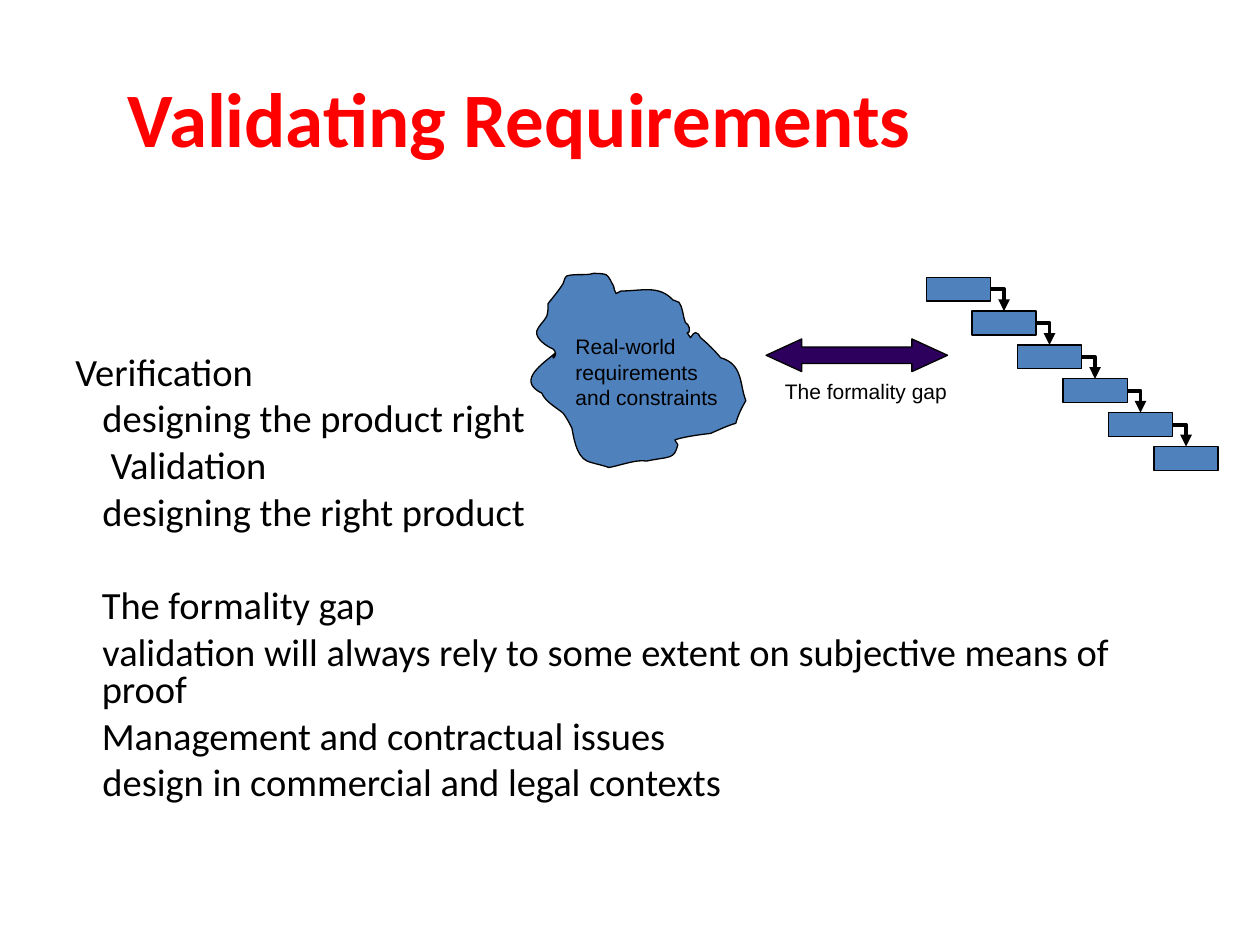
from dataclasses import dataclass

import pptx
import pptx.dml.color
import pptx.enum.shapes
import pptx.enum.text
import pptx.oxml.ns
import pptx.util
from lxml import etree

Pt = pptx.util.Pt
RGBColor = pptx.dml.color.RGBColor
ShapeKind = pptx.enum.shapes.MSO_SHAPE
Align = pptx.enum.text.PP_ALIGN
Anchor = pptx.enum.text.MSO_ANCHOR
qn = pptx.oxml.ns.qn

BLACK = RGBColor(0x00, 0x00, 0x00)
RED = RGBColor(0xFF, 0x00, 0x00)
BLUE = RGBColor(0x4F, 0x81, 0xBD)
PURPLE = RGBColor(0x2E, 0x00, 0x5D)

BODY_MARGIN = 15.1
SUB_INDENT = 0.4

STEP_COUNT = 6
STEP_LEFT, STEP_TOP = 529.4, 158.4
STEP_WIDTH, STEP_HEIGHT = 36.7, 13.7
STEP_ACROSS, STEP_DOWN = 26, 19.35

# Cloud outline as Bezier curves: two control points and an end, in units of 0.72 pt.
CLOUD_UNIT = 0.72
CLOUD_START = (441, 280)
CLOUD_CURVES = [
    (432, 288, 409, 302, 430, 312), (433, 319, 441, 323, 447, 328),
    (450, 332, 452, 336, 454, 340), (455, 345, 457, 362, 466, 366),
    (471, 368, 478, 369, 483, 371), (487, 371, 506, 364, 513, 366),
    (532, 362, 535, 365, 538, 353), (537, 351, 535, 349, 536, 349),
    (545, 346, 564, 344, 564, 344), (571, 341, 577, 338, 584, 336),
    (586, 329, 588, 325, 592, 318), (587, 306, 590, 289, 572, 284),
    (567, 278, 562, 273, 556, 268), (555, 266, 554, 264, 552, 264),
    (550, 264, 550, 266, 548, 268), (542, 259, 548, 269, 547, 260),
    (547, 258, 545, 257, 544, 256), (542, 251, 542, 244, 539, 240),
    (538, 239, 535, 239, 534, 238), (523, 226, 509, 231, 493, 231),
    (491, 232, 489, 233, 489, 233), (487, 231, 488, 229, 487, 227),
    (485, 224, 484, 220, 481, 218), (478, 217, 474, 217, 471, 217),
    (465, 219, 457, 217, 450, 219), (448, 220, 448, 223, 447, 225),
    (444, 230, 439, 236, 435, 241), (435, 245, 435, 248, 434, 251),
    (432, 255, 427, 259, 426, 263), (425, 269, 434, 275, 439, 277),
    (440, 278, 441, 279, 441, 281), (441, 282, 439, 285, 439, 284),
    (439, 282, 440, 281, 441, 280),
]


@dataclass(frozen=True)
class BodyLine:
    text: str
    indent: float = 0
    space_before: float = 5.5


BODY_LINES = [
    BodyLine("Verification", indent=-BODY_MARGIN),
    BodyLine("designing the product right", indent=SUB_INDENT),
    BodyLine("Validation", indent=5),
    BodyLine("designing the right product", indent=SUB_INDENT),
    BodyLine("The formality gap", space_before=32.5),
    BodyLine("validation will always rely to some extent on subjective means of proof",
             indent=SUB_INDENT),
    BodyLine("Management and contractual issues"),
    BodyLine("design in commercial and legal contexts", indent=SUB_INDENT),
]


def add_text_box(slide, left: float, top: float, width: float, height: float,
                 wrap: bool = True, anchor=Anchor.TOP, inset_top: float = 3.6):
    frame = slide.shapes.add_textbox(Pt(left), Pt(top), Pt(width), Pt(height)).text_frame
    frame.word_wrap = wrap
    frame.vertical_anchor = anchor
    frame.margin_top = Pt(inset_top)
    return frame


def write_text(paragraph, text: str, *, size: float, font: str = "Calibri",
               color: RGBColor = BLACK, bold: bool = False, align=Align.LEFT,
               line_spacing=None, space_before: float = 0,
               margin: float = 0, indent: float = 0) -> None:
    paragraph.text = text
    paragraph.alignment = align
    paragraph.line_spacing = line_spacing
    paragraph.space_before = Pt(space_before)
    properties = paragraph._p.get_or_add_pPr()
    properties.set("marL", str(Pt(margin)))
    properties.set("indent", str(Pt(indent)))
    for run in paragraph.runs:
        run.font.size = Pt(size)
        run.font.name = font
        run.font.bold = bold
        run.font.color.rgb = color


def style_shape(shape, fill: RGBColor) -> None:
    shape.shadow.inherit = False
    shape.fill.solid()
    shape.fill.fore_color.rgb = fill
    shape.line.color.rgb = BLACK
    shape.line.width = Pt(0.75)


def add_filled_shape(slide, kind, left: float, top: float, width: float, height: float,
                     fill: RGBColor):
    shape = slide.shapes.add_shape(kind, Pt(left), Pt(top), Pt(width), Pt(height))
    style_shape(shape, fill)
    return shape


def add_step_arrow(slide, upper, lower) -> None:
    """Lead from the right side of one step down to the top of the next."""
    connector = slide.shapes.add_connector(
        pptx.enum.shapes.MSO_CONNECTOR.ELBOW, 0, 0, 0, 0)
    connector.begin_connect(upper, 3)
    connector.end_connect(lower, 0)
    connector.line.color.rgb = BLACK
    connector.line.width = Pt(2.25)
    properties = connector._element.spPr
    properties.find(qn("a:prstGeom")).set("prst", "bentConnector2")
    etree.SubElement(connector.line._get_or_add_ln(), qn("a:tailEnd"), type="triangle")
    etree.SubElement(properties, qn("a:effectLst"))


def add_waterfall(slide) -> None:
    steps = [
        add_filled_shape(slide, ShapeKind.RECTANGLE,
                         STEP_LEFT + index * STEP_ACROSS, STEP_TOP + index * STEP_DOWN,
                         STEP_WIDTH, STEP_HEIGHT, BLUE)
        for index in range(STEP_COUNT)
    ]
    for upper, lower in zip(steps, steps[1:]):
        add_step_arrow(slide, upper, lower)


def bend_lines(shape) -> None:
    """Turn every three line segments of a freeform into one Bezier curve."""
    lines = list(shape._element.iter(qn("a:lnTo")))
    for first in range(0, len(lines), 3):
        curve = etree.Element(qn("a:cubicBezTo"))
        lines[first].addprevious(curve)
        for line in lines[first:first + 3]:
            curve.append(line[0])
            line.getparent().remove(line)


def add_cloud(slide) -> None:
    points = [
        (Pt(x * CLOUD_UNIT), Pt(y * CLOUD_UNIT))
        for curve in CLOUD_CURVES
        for x, y in zip(curve[::2], curve[1::2])
    ]
    builder = slide.shapes.build_freeform(*(Pt(value * CLOUD_UNIT) for value in CLOUD_START))
    builder.add_line_segments(points, close=True)
    cloud = builder.convert_to_shape()
    bend_lines(cloud)
    style_shape(cloud, BLUE)


def main() -> None:
    presentation = pptx.Presentation()
    presentation.slide_width, presentation.slide_height = Pt(720), Pt(540)
    slide = presentation.slides.add_slide(presentation.slide_layouts[6])

    title = add_text_box(slide, 0, 21.6, 594, 90, anchor=Anchor.MIDDLE)
    write_text(title.paragraphs[0], "Validating Requirements", size=44, color=RED,
               bold=True, align=Align.CENTER)

    body = add_text_box(slide, 36, 126, 648, 356.4, inset_top=77.9)
    for index, line in enumerate(BODY_LINES):
        paragraph = body.add_paragraph() if index else body.paragraphs[0]
        write_text(paragraph, line.text, size=22, line_spacing=0.8,
                   space_before=line.space_before, margin=BODY_MARGIN, indent=line.indent)

    add_waterfall(slide)
    add_cloud(slide)
    cloud_label = add_text_box(slide, 321.8, 187.2, 95.8, 50.4, wrap=False)
    write_text(cloud_label.paragraphs[0], "Real-world\nrequirements\nand constraints",
               size=12, font="Arial", line_spacing=Pt(14.5))

    gap_arrow = add_filled_shape(slide, ShapeKind.LEFT_RIGHT_ARROW,
                                 437.8, 193.7, 103.7, 18.7, PURPLE)
    gap_arrow.adjustments[0] = 0.5
    gap_arrow.adjustments[1] = 1.09
    gap_label = add_text_box(slide, 441.4, 212.4, 107.3, 21.6, wrap=False)
    write_text(gap_label.paragraphs[0], "The formality gap", size=12, font="Arial",
               line_spacing=Pt(14.5))

    presentation.save("out.pptx")


if __name__ == "__main__":
    main()
